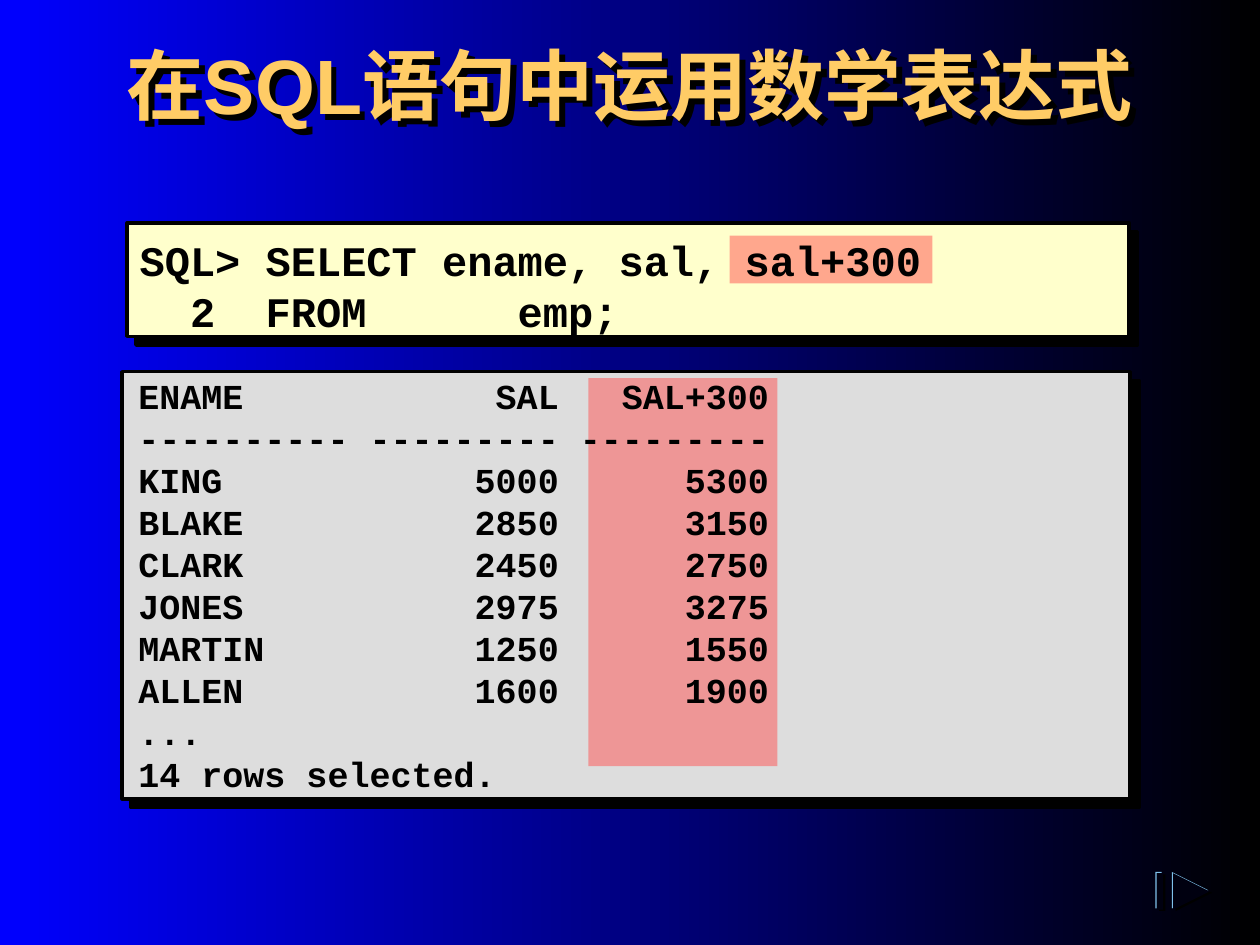
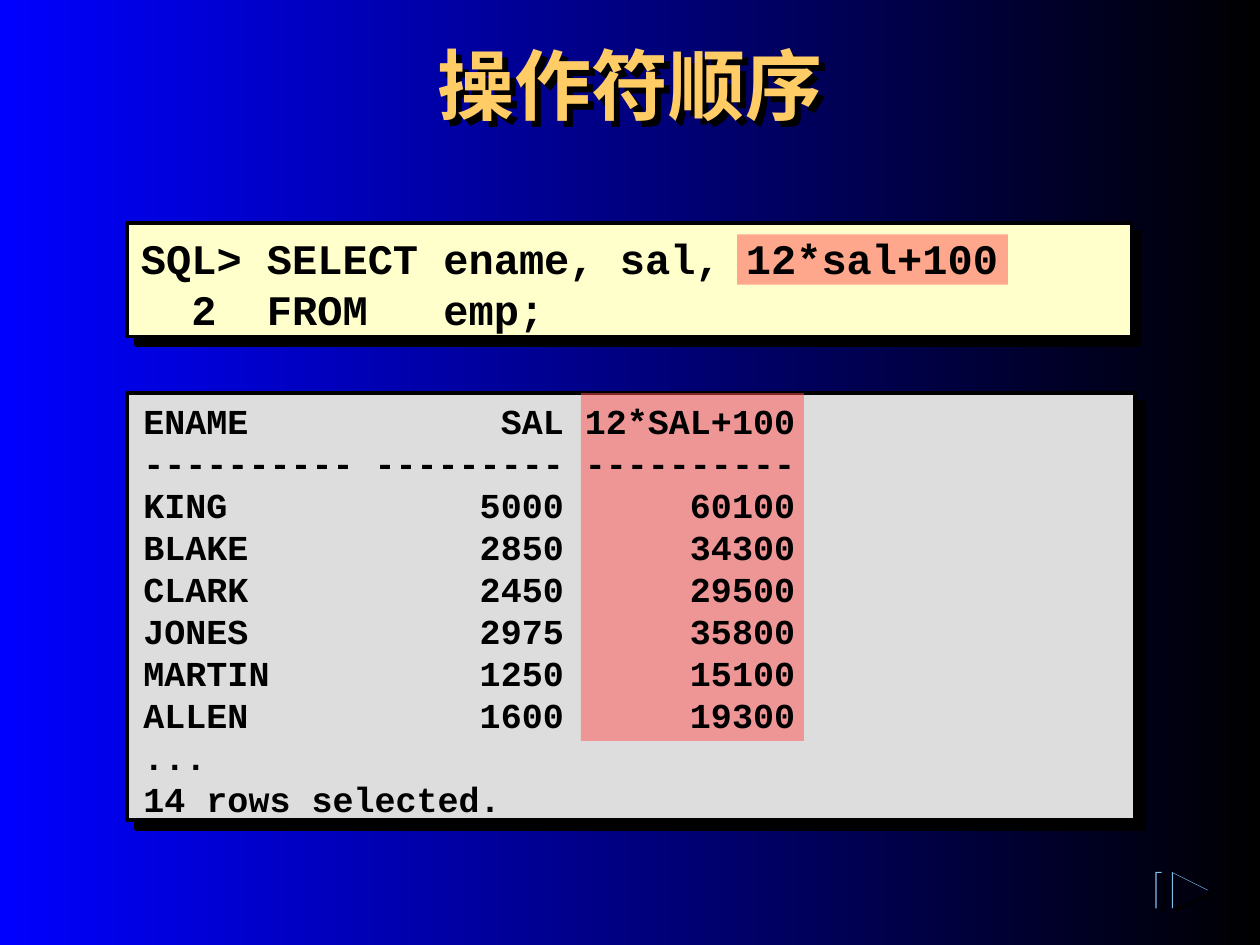
from lxml import etree
from pptx import Presentation
from pptx.dml.color import RGBColor
from pptx.enum.shapes import MSO_SHAPE
from pptx.enum.text import MSO_ANCHOR, MSO_AUTO_SIZE, PP_ALIGN
from pptx.oxml.ns import qn
from pptx.util import Inches, Pt

RECTANGLE = MSO_SHAPE.RECTANGLE
TOP, MIDDLE = MSO_ANCHOR.TOP, MSO_ANCHOR.MIDDLE
CENTER, LEFT = PP_ALIGN.CENTER, PP_ALIGN.LEFT
NO_AUTOFIT = MSO_AUTO_SIZE.NONE

BLACK = RGBColor(0x00, 0x00, 0x00)
BLUE = RGBColor(0x00, 0x00, 0xFF)
NIGHT = RGBColor(0x00, 0x00, 0x10)
SKY = RGBColor(0x7F, 0xC1, 0xEB)
GOLD = RGBColor(0xFF, 0xCC, 0x66)
CREAM = RGBColor(0xFF, 0xFF, 0xCC)
GREY = RGBColor(0xDD, 0xDD, 0xDD)
RED = RGBColor(0xFF, 0x50, 0x50)

EMPLOYEES = [("KING", 5000), ("BLAKE", 2850), ("CLARK", 2450),
             ("JONES", 2975), ("MARTIN", 1250), ("ALLEN", 1600)]

SLIDES = [
    {
        "title": "在SQL语句中运用数学表达式",
        "title_height": 1,
        "code": ["SQL> SELECT ename, sal, sal+300", "  2  FROM \temp;"],
        "heading": "SAL+300",
        "width": 9,
        "values": [5300, 3150, 2750, 3275, 1550, 1900],
        "code_panel": (1.01, 1.77, 7.95, 0.9),
        "result_panel": (0.97, 2.95, 8, 3.39),
        "highlights": [(5.79, 1.87, 1.61, 0.38), (4.67, 3, 1.5, 3.08)],
        "code_box": (1.01, 1.8, 7.97, 0.93),
        "result_box": (1, 2.92, 8.03, 3.44),
    },
    {
        "title": "操作符顺序",
        "title_height": 1.25,
        "code": ["SQL> SELECT ename, sal, 12*sal+100", "  2  FROM   emp;"],
        "heading": "12*SAL+100",
        "width": 10,
        "values": [60100, 34300, 29500, 35800, 15100, 19300],
        "code_panel": (1.01, 1.77, 7.97, 0.9),
        "result_panel": (1.01, 3.12, 8, 3.39),
        "highlights": [(5.85, 1.86, 2.15, 0.4), (4.61, 3.12, 1.77, 2.76)],
        "code_box": (1.02, 1.78, 8, 0.93),
        "result_box": (1.04, 3.12, 7.97, 3.44),
    },
]

CODE_TABS = [1.31, 1.81, 2, 3, 4, 5, 6]
TITLE_FONT = {"name": "Arial", "size": Pt(44), "bold": True}
CODE_FONT = {"name": "Courier New", "size": Pt(24), "bold": True}
RESULT_FONT = {**CODE_FONT, "size": Pt(20)}
ICON_LAYERS = [(0.03, 0.02, BLACK), (0, 0, SKY), (0.01, 0.01, NIGHT)]
ICON_LEFT, ICON_TOP, ICON_SIZE = 9.17, 6.92, 0.29
BAR_WIDTH, TRIANGLE_OFFSET = 0.05, 0.13


def inches(frame):
    return [Inches(value) for value in frame]


def add_shadow(shape, distance):
    shape.shadow.inherit = False
    effects = shape.fill._xPr.find(qn("a:effectLst"))
    shadow = etree.SubElement(effects, qn("a:outerShdw"), blurRad="0",
                              dist=str(Pt(distance)), dir="2700000", algn="ctr", rotWithShape="0")
    etree.SubElement(shadow, qn("a:srgbClr"), val=str(BLACK))


def paint(shape, color):
    shape.shadow.inherit = False
    shape.fill.solid()
    shape.fill.fore_color.rgb = color
    shape.line.fill.background()


def add_rectangle(shapes, frame, color):
    shape = shapes.add_shape(RECTANGLE, *inches(frame))
    paint(shape, color)
    return shape


def add_panel(page, frame, color):
    panel = add_rectangle(page.shapes, frame, color)
    panel.line.color.rgb = BLACK
    panel.line.width = Pt(2)
    add_shadow(panel, 7.1)


def add_highlight(page, frame):
    highlight = add_rectangle(page.shapes, frame, RED)
    color = highlight.fill._xPr.find(qn("a:solidFill")).find(qn("a:srgbClr"))
    etree.SubElement(color, qn("a:alpha"), val="50000")


def format_font(font, style, color):
    for key, value in style.items():
        setattr(font, key, value)
    font.color.rgb = color


def add_lines(page, frame, lines, style, anchor, tabs=()):
    box = page.shapes.add_textbox(*inches(frame))
    text = box.text_frame
    text.word_wrap = True
    text.vertical_anchor = anchor
    for index, line in enumerate(lines):
        para = text.paragraphs[0] if index == 0 else text.add_paragraph()
        if tabs:
            stops = etree.SubElement(para._p.get_or_add_pPr(), qn("a:tabLst"))
            for tab in tabs:
                etree.SubElement(stops, qn("a:tab"), pos=str(Inches(tab)), algn="l")
        para.alignment = LEFT
        para.line_spacing = Pt(round(style["size"].pt * 1.2))
        span = para.add_run()
        span.text = line
        format_font(span.font, style, BLACK)


def set_title(page, words, height):
    title = page.shapes.title
    title.left, title.top, title.width, title.height = inches((0.75, 0.25, 8.5, height))
    title.fill.background()
    add_shadow(title, 4.8)
    text = title.text_frame
    text.auto_size = NO_AUTOFIT
    text.vertical_anchor = TOP
    para = text.paragraphs[0]
    para.alignment = CENTER
    span = para.add_run()
    span.text = words
    format_font(span.font, TITLE_FONT, GOLD)


def result_lines(heading, width, values):
    def row(name, salary, value):
        return f"{name:<10} {salary:>9} {value:>{width}}"

    rows = [row(name, salary, value) for (name, salary), value in zip(EMPLOYEES, values)]
    return [row("ENAME", "SAL", heading), row("-" * 10, "-" * 9, "-" * width),
            *rows, "...", "14 rows selected."]


def add_next_icon(page):
    icon = page.shapes.add_group_shape().shapes
    for shift_x, shift_y, color in ICON_LAYERS:
        add_rectangle(icon, (ICON_LEFT + shift_x, ICON_TOP + shift_y, BAR_WIDTH, ICON_SIZE), color)
    for shift_x, shift_y, color in ICON_LAYERS:
        left, top = ICON_LEFT + TRIANGLE_OFFSET + shift_x, ICON_TOP + shift_y
        outline = icon.build_freeform(Inches(left + ICON_SIZE), Inches(top + ICON_SIZE / 2))
        corners = [(left, top), (left, top + ICON_SIZE)]
        outline.add_line_segments([inches(corner) for corner in corners], close=True)
        paint(outline.convert_to_shape(), color)


def set_background(master):
    fill = master.background.fill
    fill.gradient()
    fill.gradient_angle = 180
    for stop, position, color in zip(fill.gradient_stops, (0, 1), (BLACK, BLUE)):
        stop.position = position
        stop.color.rgb = color


def build_slide(deck, content):
    page = deck.slides.add_slide(deck.slide_layouts[5])
    set_title(page, content["title"], content["title_height"])
    add_panel(page, content["code_panel"], CREAM)
    add_panel(page, content["result_panel"], GREY)
    for frame in content["highlights"]:
        add_highlight(page, frame)
    add_lines(page, content["code_box"], content["code"], CODE_FONT, MIDDLE, CODE_TABS)
    lines = result_lines(content["heading"], content["width"], content["values"])
    add_lines(page, content["result_box"], lines, RESULT_FONT, TOP)
    add_next_icon(page)


def main():
    deck = Presentation()
    deck.slide_width, deck.slide_height = Inches(10), Inches(7.5)
    set_background(deck.slide_master)
    for content in SLIDES:
        build_slide(deck, content)
    deck.save("out.pptx")


if __name__ == "__main__":
    main()
